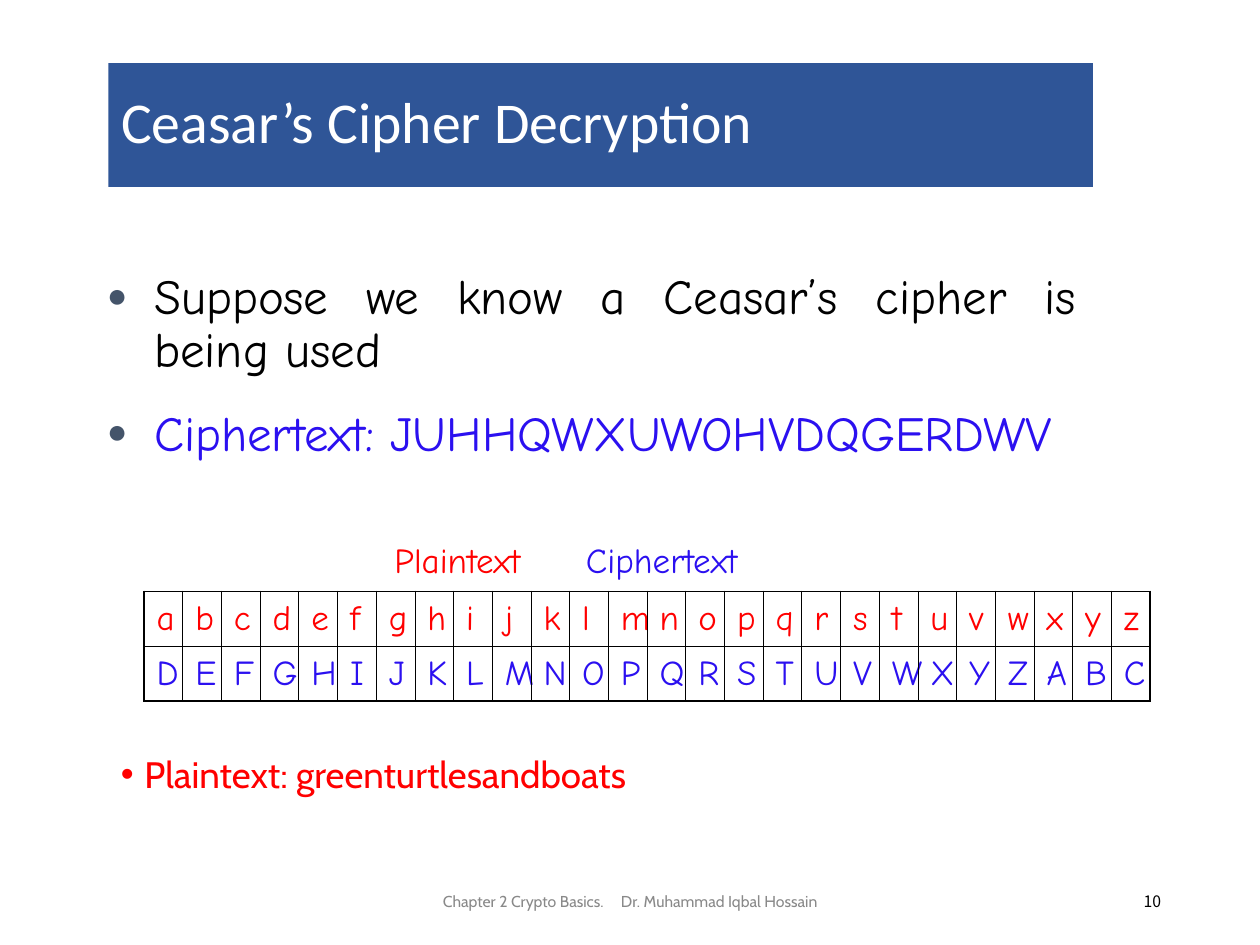
from lxml import etree
from pptx import Presentation
from pptx.dml.color import RGBColor
from pptx.enum.text import MSO_ANCHOR, MSO_AUTO_SIZE, PP_ALIGN
from pptx.oxml.ns import qn
from pptx.util import Pt

WHITE = RGBColor(0xFF, 0xFF, 0xFF)
BLACK = RGBColor(0, 0, 0)
BANNER = RGBColor(0x2F, 0x55, 0x97)
RED = RGBColor(0xFF, 0, 0)
BLUE = RGBColor(0x2B, 0x10, 0xF0)
SLATE = RGBColor(0x44, 0x54, 0x6A)
GREY = RGBColor(0x89, 0x89, 0x89)

LEFT, CENTER = PP_ALIGN.LEFT, PP_ALIGN.CENTER
RIGHT, JUSTIFY = PP_ALIGN.RIGHT, PP_ALIGN.JUSTIFY
TOP, MIDDLE = MSO_ANCHOR.TOP, MSO_ANCHOR.MIDDLE
NO_FIT, GROW = MSO_AUTO_SIZE.NONE, MSO_AUTO_SIZE.SHAPE_TO_FIT_TEXT

COMIC, CABIN = "Comic Neue", "Cabin"
PLAIN_ALPHABET = "abcdefghijklmnopqrstuvwxyz"
SHIFT = 3
THIN, THICK = 0.45, 1.08


def add_element(parent, tag, **attrs):
    el = etree.SubElement(parent, qn(tag))
    for name, value in attrs.items():
        el.set(name, str(value))
    return el


def write(p, text, size, font, color, **formats):
    """Add one run to a paragraph; formats are paragraph attributes."""
    for name, value in formats.items():
        setattr(p, name, value)
    r = p.add_run()
    r.text = text
    for name, value in {"size": Pt(size), "name": font}.items():
        setattr(r.font, name, value)
    r.font.color.rgb = color
    return r


def set_bullet(p, char, color, indent, percent=100):
    pPr = p._p.get_or_add_pPr()
    pPr.set("marL", str(Pt(indent)))
    pPr.set("indent", str(-Pt(indent)))
    add_element(add_element(pPr, "a:buClr"), "a:srgbClr", val=color)
    add_element(pPr, "a:buSzPct", val=percent * 1000)
    add_element(pPr, "a:buFont", typeface="Arial")
    add_element(pPr, "a:buChar", char=char)


def add_box(s, x, y, w, h, anchor=TOP, wrap=True, fit=NO_FIT):
    tf = s.shapes.add_textbox(Pt(x), Pt(y), Pt(w), Pt(h)).text_frame
    formats = {"word_wrap": wrap, "auto_size": fit, "vertical_anchor": anchor}
    for name, value in formats.items():
        setattr(tf, name, value)
    return tf


def add_title(s, text):
    sp = s.shapes.title
    box = {"left": 62, "top": 36, "width": 562.5, "height": 70.75}
    for name, value in box.items():
        setattr(sp, name, Pt(value))
    sp.fill.solid()
    sp.fill.fore_color.rgb = BANNER
    sp.text_frame.auto_size = NO_FIT
    sp.text_frame.vertical_anchor = MIDDLE
    write(sp.text_frame.paragraphs[0], text, 33, "Calibri", WHITE,
          alignment=LEFT, line_spacing=0.9)


def set_borders(cell, widths):
    tcPr = cell._tc.get_or_add_tcPr()
    for side, width in widths.items():
        ln = add_element(tcPr, "a:ln" + side, w=Pt(width))
        add_element(add_element(ln, "a:solidFill"), "a:srgbClr", val=BLACK)


def add_cipher_table(s, x, y, col_width, row_height):
    shifted = PLAIN_ALPHABET[SHIFT:] + PLAIN_ALPHABET[:SHIFT]
    rows = [(PLAIN_ALPHABET, RED), (shifted.upper(), BLUE)]
    n_rows, n_cols = len(rows), len(PLAIN_ALPHABET)
    table = s.shapes.add_table(n_rows, n_cols, Pt(x), Pt(y), Pt(col_width * n_cols),
                               Pt(row_height * n_rows)).table
    table.first_row = table.horz_banding = False
    for col in table.columns:
        col.width = Pt(col_width)
    for i, (letters, color) in enumerate(rows):
        table.rows[i].height = Pt(row_height)
        for j, letter in enumerate(letters):
            cell = table.cell(i, j)
            outer = {"L": j == 0, "R": j == n_cols - 1,
                     "T": i == 0, "B": i == n_rows - 1}
            set_borders(cell, {k: THICK if v else THIN for k, v in outer.items()})
            cell.fill.background()
            cell.vertical_anchor = MIDDLE
            write(cell.text_frame.paragraphs[0], letter, 20, COMIC, color)


def main():
    prs = Presentation()
    prs.slide_width, prs.slide_height = Pt(720), Pt(540)
    s = prs.slides.add_slide(prs.slide_layouts[5])
    add_title(s, "Ceasar’s Cipher Decryption")

    # Known facts
    tf = add_box(s, 54, 152, 604, 159)
    tf.margin_right = Pt(43)
    p = tf.paragraphs[0]
    set_bullet(p, "●", SLATE, 27, 70)
    write(p, "Suppose we know a Ceasar’s cipher is being used", 28, COMIC, BLACK,
          alignment=JUSTIFY, line_spacing=0.9)
    p = tf.add_paragraph()
    set_bullet(p, "●", SLATE, 27, 70)
    write(p, "Ciphertext: JUHHQWXUWOHVDQGERDWV", 28, COMIC, BLUE,
          alignment=JUSTIFY, line_spacing=1.2, space_before=Pt(7))

    # Substitution table and its legend
    add_cipher_table(s, 82.3, 338, 22.13, 31.3)
    for text, x, w, color in [("Plaintext", 218.3, 87, RED),
                              ("Ciphertext", 327.7, 101.5, BLUE)]:
        tf = add_box(s, x, 304, w, 31.5, wrap=False, fit=GROW)
        write(tf.paragraphs[0], text, 20, COMIC, color)

    # Decrypted answer
    p = add_box(s, 62, 428.7, 628, 45).paragraphs[0]
    set_bullet(p, "•", RED, 13.5)
    write(p, "Plaintext: greenturtlesandboats", 21, CABIN, RED, line_spacing=0.9)

    # Footer, with a widened space between chapter and author
    p = add_box(s, 238.5, 500.5, 243, 28.75, anchor=MIDDLE).paragraphs[0]
    p.alignment = CENTER
    for text, spacing in [("Chapter 2 Crypto Basics.", 0), (" ", 8),
                          ("Dr. Muhammad Iqbal Hossain", 0)]:
        r = write(p, text, 9, CABIN, GREY)
        r.font._element.set("spc", str(spacing * 100))

    # Page number
    p = add_box(s, 508.5, 500.5, 162, 28.75, anchor=MIDDLE).paragraphs[0]
    write(p, "10", 9, "Noto Sans CJK KR", BLACK, alignment=RIGHT)

    prs.save("out.pptx")


if __name__ == "__main__":
    main()
